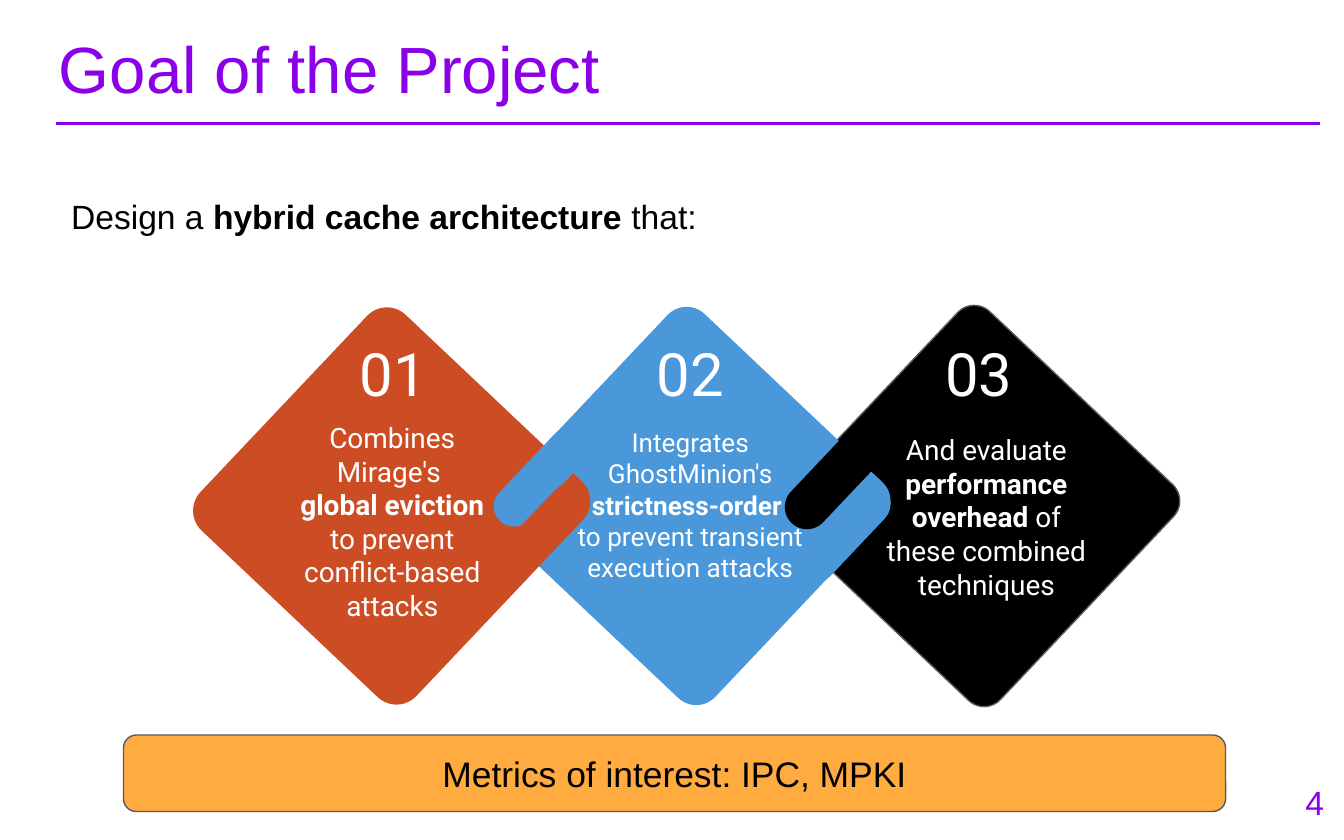
from dataclasses import dataclass

from lxml import etree
from pptx import Presentation
from pptx.dml import color
from pptx.enum import shapes, text
from pptx.oxml import ns
from pptx.util import Pt


@dataclass(frozen=True)
class Theme:
    purple: str = "8B00E7"
    orange: str = "CC4D24"
    blue: str = "4A98DA"
    black: str = "000000"
    white: str = "FFFFFF"
    amber: str = "FFAB40"
    outline: str = "595959"
    body_font: str = "Arial"
    diagram_font: str = "Roboto"
    title_size: float = 35
    lead_size: float = 18
    number_size: float = 32
    metrics_size: float = 19


THEME = Theme()
TILT = 313.4
DIAMOND_TOP, DIAMOND_SIDE = 191.5, 159.1
LINK_LENGTH = 64.8
LEFT, CENTER, RIGHT = text.PP_ALIGN.LEFT, text.PP_ALIGN.CENTER, text.PP_ALIGN.RIGHT
TOP, MIDDLE = text.MSO_ANCHOR.TOP, text.MSO_ANCHOR.MIDDLE


def rgb(value):
    return color.RGBColor.from_string(value)


def write_text(shape, paragraphs, size, ink, font, align, anchor):
    """Each paragraph is a list of (words, bold) runs."""
    frame = shape.text_frame
    frame.word_wrap = True
    frame.vertical_anchor = anchor
    frame.margin_left = frame.margin_right = Pt(7.2)
    frame.margin_top = frame.margin_bottom = Pt(7.2)
    for index, runs in enumerate(paragraphs):
        paragraph = frame.add_paragraph() if index else frame.paragraphs[0]
        paragraph.alignment = align
        paragraph.font.size = Pt(size)
        paragraph.font.name = font
        paragraph.font.color.rgb = rgb(ink)
        for words, bold in runs:
            run = paragraph.add_run()
            run.text = words
            if bold:
                run.font.bold = True


def add_text(slide, box, paragraphs, size, ink, font=THEME.body_font,
             align=LEFT, anchor=TOP):
    shape = slide.shapes.add_textbox(*map(Pt, box))
    write_text(shape, paragraphs, size, ink, font, align, anchor)


def add_rounded(slide, box, fill, corner, rotation=0, outline=None):
    shape = slide.shapes.add_shape(
        shapes.MSO_SHAPE.ROUNDED_RECTANGLE, *map(Pt, box))
    shape.adjustments[0] = corner
    shape.rotation = rotation
    shape.shadow.inherit = False
    shape.fill.solid()
    shape.fill.fore_color.rgb = rgb(fill)
    if outline:
        shape.line.color.rgb = rgb(outline)
        shape.line.width = Pt(0.75)
    else:
        shape.line.fill.background()
    return shape


def add_rule(slide, left, right, y):
    line = slide.shapes.add_connector(
        shapes.MSO_CONNECTOR.STRAIGHT, Pt(left), Pt(y), Pt(right), Pt(y))
    line.line.color.rgb = rgb(THEME.purple)
    line.line.width = Pt(1.5)
    etree.SubElement(line._element.spPr, ns.qn("a:effectLst"))


def add_chain(slide):
    # Diamonds, back to front: left, colour, corner, outline
    for left, fill, corner, outline in (
            (445, THEME.black, 0.076, THEME.outline),
            (290.9, THEME.blue, 0.088, None),
            (130.3, THEME.orange, 0.092, None)):
        add_rounded(slide, (left, DIAMOND_TOP, DIAMOND_SIDE, DIAMOND_SIDE),
                    fill, corner, TILT, outline)

    # Interlocking links: left, top, thickness, colour
    for left, top, thickness, fill in (
            (414, 244.8, 23.8, THEME.black),
            (419, 274.3, 22.3, THEME.blue),
            (257.8, 244.8, 21.6, THEME.blue),
            (257.8, 275, 21.6, THEME.orange)):
        add_rounded(slide, (left, top, LINK_LENGTH, thickness), fill, 0.5, TILT)

    # Numbers and descriptions: number left, text box, size, paragraphs
    steps = (
        (182.9, (145.4, 226.8, 129.6, 105.1), 15,
         [[("Combines Mirage's ", False)],
          [("global eviction", True),
           (" to prevent conflict-based attacks", False)]]),
        (342, (293.8, 208.8, 151.9, 123.1), 14,
         [[("Integrates GhostMinion's ", False), ("strictness-order ", True)],
          [("to prevent transient execution attacks", False)]]),
        (496.8, (463.7, 215.3, 129.6, 123.1), 15,
         [[("And evaluate ", False), ("performance overhead", True),
           (" of these combined techniques", False)]]),
    )
    for number, (left, box, size, paragraphs) in enumerate(steps, 1):
        add_text(slide, (left, 174.2, 55.4, 50.4), [[(f"{number:02}", False)]],
                 THEME.number_size, THEME.white, THEME.diagram_font, CENTER, MIDDLE)
        add_text(slide, box, paragraphs, size, THEME.white,
                 THEME.diagram_font, CENTER, MIDDLE)


def main():
    presentation = Presentation()
    presentation.slide_width, presentation.slide_height = Pt(720), Pt(450)
    slide = presentation.slides.add_slide(presentation.slide_layouts[6])

    # Heading, page number and lead sentence
    add_rule(slide, 30.2, 707, 66.2)
    add_text(slide, (24.5, 7.9, 671, 50.4), [[("Goal of the Project", False)]],
             THEME.title_size, THEME.purple)
    add_text(slide, (666, 412.6, 50.4, 34.6), [[("4", False)]],
             THEME.lead_size, THEME.purple, align=RIGHT, anchor=MIDDLE)
    add_text(slide, (31, 97.9, 396.7, 38.2),
             [[("Design a ", False), ("hybrid cache architecture", True),
               (" that:", False)]], THEME.lead_size, THEME.black)

    add_chain(slide)

    # Metrics bar
    metrics = add_rounded(slide, (66.2, 393.8, 590.4, 41), THEME.amber, 0.167,
                          outline=THEME.outline)
    write_text(metrics, [[("Metrics of interest: IPC, MPKI", False)]],
               THEME.metrics_size, THEME.black, THEME.body_font, CENTER, MIDDLE)

    presentation.save("out.pptx")


if __name__ == "__main__":
    main()
